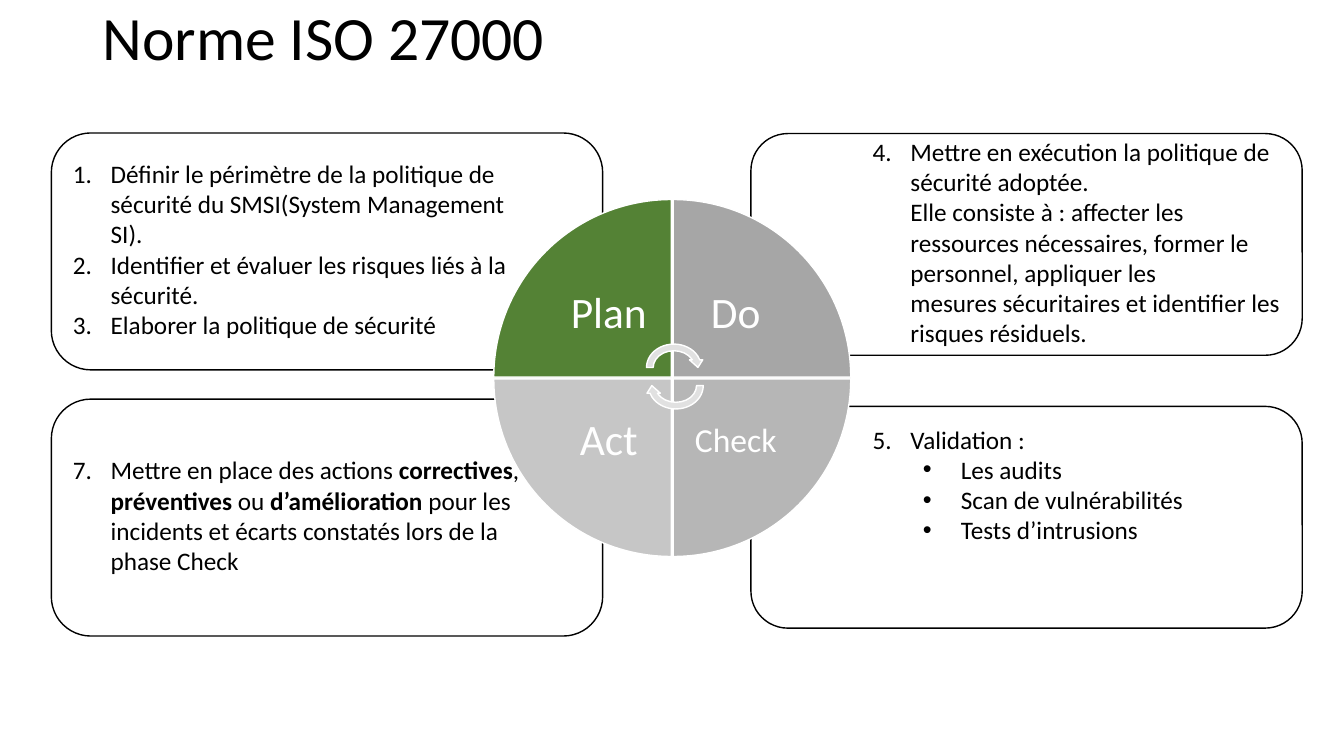
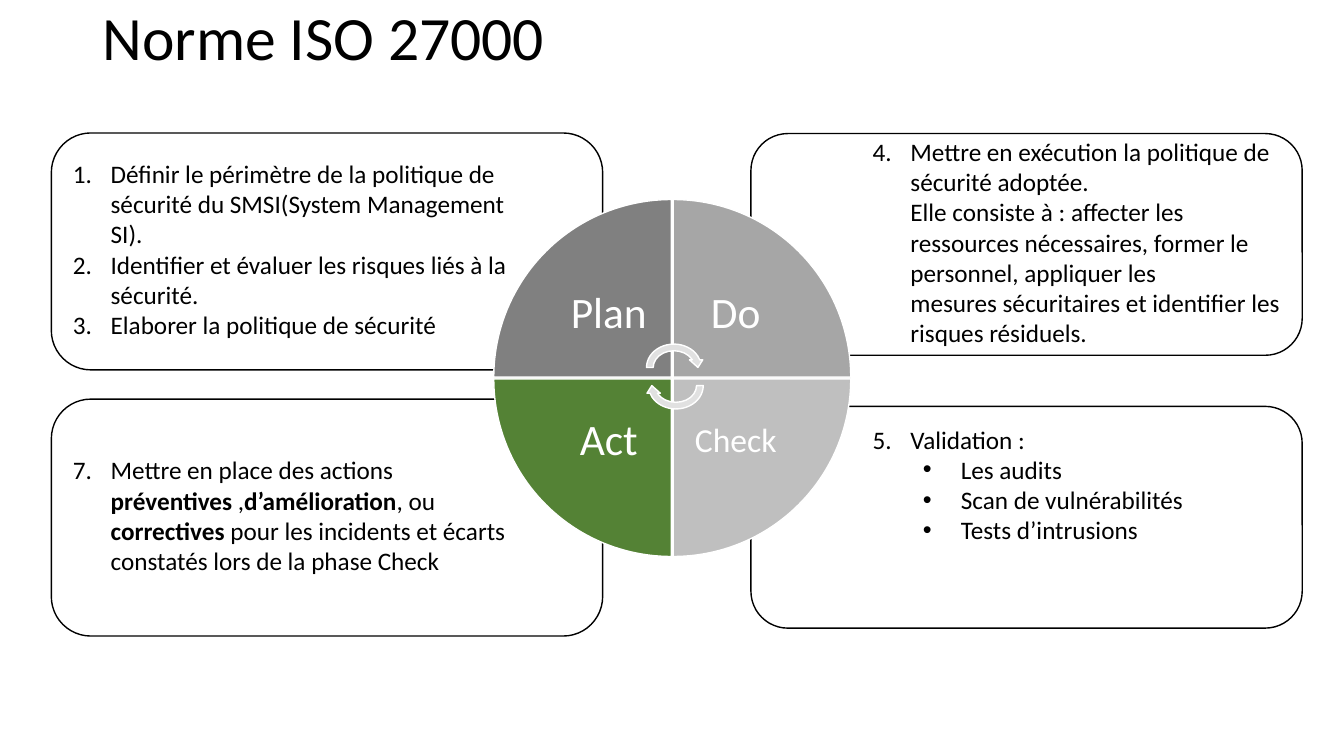
from dataclasses import dataclass

import pptx
import pptx.dml.color
import pptx.enum.shapes
import pptx.enum.text
import pptx.oxml
import pptx.oxml.ns
import pptx.util
from lxml import etree

Pt = pptx.util.Pt
ShapeKind = pptx.enum.shapes.MSO_SHAPE
Align = pptx.enum.text.PP_ALIGN
Anchor = pptx.enum.text.MSO_ANCHOR


# Theme: colours and type sizes
@dataclass(frozen=True)
class Theme:
    font: str = "Calibri"
    ink: str = "000000"
    paper: str = "FFFFFF"
    highlight: str = "548235"
    arrow: str = "E1E1E1"
    title_size: float = 44
    body_size: float = 18
    label_size: float = 31
    small_label_size: float = 24


THEME = Theme()


# Repeated elements
@dataclass(frozen=True)
class Item:
    text: str  # *bold* stretches, line breaks as \n
    level: int = 0


@dataclass(frozen=True)
class Box:
    left: float
    top: float
    height: float
    margins: tuple[float, float, float]  # left, right, bottom
    first_number: int
    items: tuple[Item, ...]


@dataclass(frozen=True)
class Phase:
    name: str
    column: int
    row: int
    rotation: int
    size: float = THEME.label_size


# Geometry, in points
SLIDE_WIDTH, SLIDE_HEIGHT = 960, 540
BOX_WIDTH = 393.8
LEFT_BOX, RIGHT_BOX = 36.7, 536.4
TALL, SHORT = 169.2, 158.4
LEFT_MARGINS, RIGHT_MARGINS = (7.2, 45.4, 3.6), (79.2, 0, 3.6)
HANGING = 27
LEVEL_STEP = 36
CENTER_X, CENTER_Y = 480.2, 270
WEDGE, WEDGE_GAP = 126.8, 1.4
LABEL = 89.3
ARROW_WIDTH, ARROW_HEIGHT = 43.9, 38.2
ARROWS = ((459.4, 243.4, 0), (460.8, 256.3, 180))  # left, top, rotation

# Content
TITLE = "Norme ISO 27000"
PHASES = (
    Phase("Plan", 0, 0, 0),
    Phase("Do", 1, 0, 90),
    Phase("Check", 1, 1, 180, THEME.small_label_size),
    Phase("Act", 0, 1, 270),
)
SHARED_BOXES = (
    Box(LEFT_BOX, 95, TALL, LEFT_MARGINS, 1, (
        Item("Définir le périmètre de la politique de sécurité du SMSI(System Management SI)."),
        Item("Identifier et évaluer les risques liés à la sécurité."),
        Item("Elaborer la politique de sécurité"),
    )),
    Box(RIGHT_BOX, 95.4, SHORT, RIGHT_MARGINS, 4, (
        Item("Mettre en exécution la politique de sécurité adoptée.\n"
             "Elle consiste à : affecter les ressources nécessaires, former le personnel, "
             "appliquer les\nmesures sécuritaires et identifier les risques résiduels."),
    )),
    Box(RIGHT_BOX, 290.3, SHORT, (79.2, 0, 47), 5, (
        Item("Validation :"),
        Item("Les audits", 1),
        Item("Scan de vulnérabilités", 1),
        Item("Tests d’intrusions", 1),
    )),
)
SLIDES = (
    (("548235", "A6A6A6", "B6B6B6", "C6C6C6"),
     "Mettre en place des actions *correctives*, *préventives *ou *d’amélioration*"
     " pour les incidents et écarts constatés lors de la phase Check"),
    (("808080", "A6A6A6", "BFBFBF", THEME.highlight),
     "Mettre en place des actions *préventives* ,*d’amélioration*, ou *correctives *"
     "pour les incidents et écarts constatés lors de la phase Check"),
)


def color(value: str) -> pptx.dml.color.RGBColor:
    return pptx.dml.color.RGBColor.from_string(value)


def format_run(run, size: float, ink: str, bold: bool = False) -> None:
    run.font.name = THEME.font
    run.font.size = Pt(size)
    run.font.color.rgb = color(ink)
    run.font.bold = bold


def paint(shape, fill: str, line: str) -> None:
    shape.shadow.inherit = False
    shape.fill.solid()
    shape.fill.fore_color.rgb = color(fill)
    shape.line.color.rgb = color(line)
    shape.line.width = Pt(1)


def set_marker(paragraph, level: int, first_number: int) -> None:
    """Number the first level and put bullets on the second."""
    paragraph.level = level
    properties = paragraph._p.get_or_add_pPr()
    properties.set("marL", str(Pt(HANGING + level * LEVEL_STEP)))
    properties.set("indent", str(-Pt(HANGING)))
    qualified = pptx.oxml.ns.qn
    if level:
        etree.SubElement(properties, qualified("a:buFont"), typeface="Arial")
        etree.SubElement(properties, qualified("a:buChar"), char="•")
    else:
        etree.SubElement(properties, qualified("a:buAutoNum"),
                         type="arabicPeriod", startAt=str(first_number))


def draw_title(slide) -> None:
    title = slide.shapes.title
    title.left, title.top, title.width, title.height = Pt(66), Pt(0), Pt(828), Pt(57.6)
    title.text_frame.text = TITLE
    title.text_frame.vertical_anchor = Anchor.MIDDLE
    paragraph = title.text_frame.paragraphs[0]
    paragraph.alignment = Align.LEFT
    paragraph.line_spacing = 0.9
    format_run(paragraph.runs[0], THEME.title_size, THEME.ink)


def draw_box(slide, box: Box) -> None:
    shape = slide.shapes.add_shape(ShapeKind.ROUNDED_RECTANGLE, Pt(box.left), Pt(box.top),
                                   Pt(BOX_WIDTH), Pt(box.height))
    paint(shape, THEME.paper, THEME.ink)
    frame = shape.text_frame
    frame.word_wrap = True
    frame.vertical_anchor = Anchor.MIDDLE
    frame.margin_left, frame.margin_right, frame.margin_bottom = map(Pt, box.margins)
    frame.margin_top = Pt(0)
    for index, item in enumerate(box.items):
        paragraph = frame.add_paragraph() if index else frame.paragraphs[0]
        paragraph.alignment = Align.LEFT
        set_marker(paragraph, item.level, box.first_number)
        for part, stretch in enumerate(item.text.split("*")):
            for row, line in enumerate(stretch.split("\n")):
                if row:
                    paragraph.add_line_break()
                run = paragraph.add_run()
                run.text = line
                format_run(run, THEME.body_size, THEME.ink, bold=part % 2 == 1)


def draw_phase(group, phase: Phase, fill: str) -> None:
    def corner(center: float, side: int, size: float) -> Pt:
        """Start of a square that touches the wheel's centre on the given side."""
        return Pt(center + WEDGE_GAP / 2 if side else center - WEDGE_GAP / 2 - size)

    wedge = group.shapes.add_shape(
        ShapeKind.PIE_WEDGE, corner(CENTER_X, phase.column, WEDGE),
        corner(CENTER_Y, phase.row, WEDGE), Pt(WEDGE), Pt(WEDGE))
    wedge.rotation = phase.rotation
    paint(wedge, fill, THEME.paper)

    label = group.shapes.add_textbox(
        corner(CENTER_X, phase.column, LABEL), corner(CENTER_Y, phase.row, LABEL),
        Pt(LABEL), Pt(LABEL))
    frame = label.text_frame
    frame.text = phase.name
    frame.word_wrap = True
    frame.vertical_anchor = Anchor.MIDDLE
    paragraph = frame.paragraphs[0]
    paragraph.alignment = Align.CENTER
    paragraph.line_spacing = 0.9
    format_run(paragraph.runs[0], phase.size, THEME.paper)


def draw_wheel(slide, fills: tuple[str, ...]) -> None:
    group = slide.shapes.add_group_shape()
    for phase, fill in zip(PHASES, fills):
        draw_phase(group, phase, fill)
    for left, top, rotation in ARROWS:
        arrow = group.shapes.add_shape(ShapeKind.CIRCULAR_ARROW, Pt(left), Pt(top),
                                       Pt(ARROW_WIDTH), Pt(ARROW_HEIGHT))
        arrow.rotation = rotation
        paint(arrow, THEME.arrow, THEME.paper)


def main() -> None:
    presentation = pptx.Presentation()
    presentation.slide_width = Pt(SLIDE_WIDTH)
    presentation.slide_height = Pt(SLIDE_HEIGHT)
    title_only = presentation.slide_layouts[5]
    for fills, action in SLIDES:
        slide = presentation.slides.add_slide(title_only)
        draw_title(slide)
        action_box = Box(LEFT_BOX, 285.1, TALL, LEFT_MARGINS, 7, (Item(action),))
        for box in (*SHARED_BOXES, action_box):
            draw_box(slide, box)
        draw_wheel(slide, fills)
    presentation.save("out.pptx")


if __name__ == "__main__":
    main()
